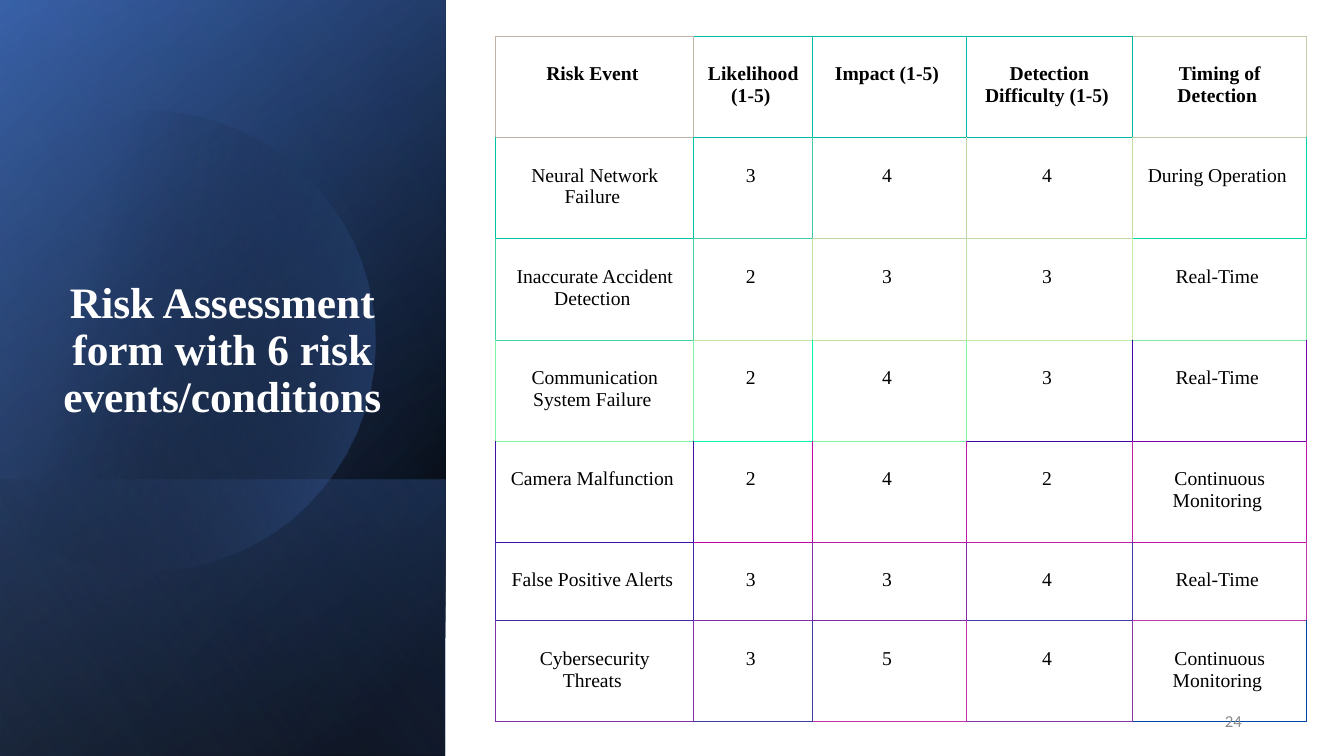
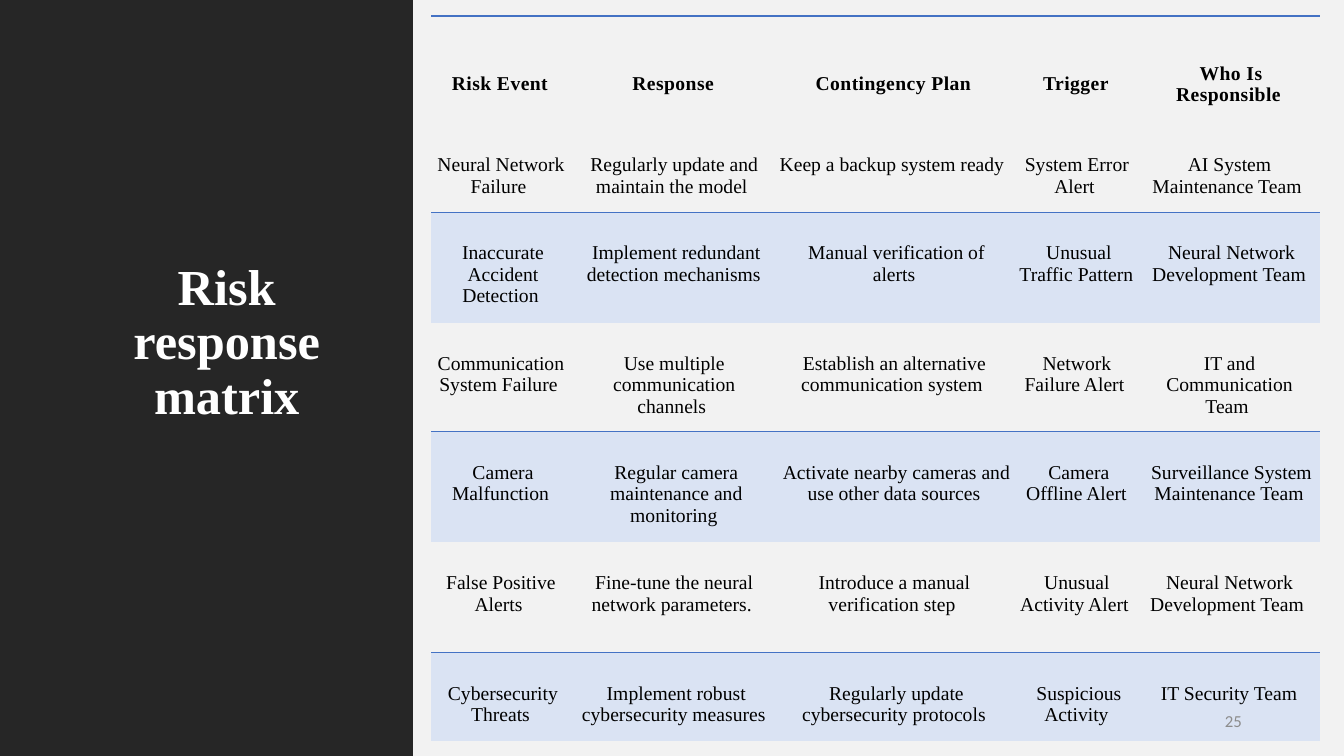
"""Build two risk slides: an assessment table and a response matrix."""
from dataclasses import dataclass
from typing import Callable, NamedTuple, Optional

from lxml import etree
from pptx import Presentation
from pptx.dml.color import RGBColor
from pptx.enum.shapes import MSO_SHAPE
from pptx.enum.text import MSO_ANCHOR, PP_ALIGN
from pptx.oxml.ns import qn
from pptx.util import Pt

RECT = MSO_SHAPE.RECTANGLE
TOP, MID, LOW = MSO_ANCHOR.TOP, MSO_ANCHOR.MIDDLE, MSO_ANCHOR.BOTTOM
MIDDLE, RIGHT = PP_ALIGN.CENTER, PP_ALIGN.RIGHT
SERIF, SANS = "Times New Roman", "Calibri"
WHITE, BLACK, GREY = "FFFFFF", "000000", "8C8C8C"
DARK, PALE = "262626", "F2F2F2"
BLUE, NAVY, SKY, TINT = "4472C4", "2F5597", "8FAADC", "DAE3F3"
HARD = chr(160)


class Box(NamedTuple):
    left: float
    top: float
    width: float
    height: float


class Stop(NamedTuple):
    pos: float
    tone: str
    alpha: int = 100


class Edge(NamedTuple):
    tone: str
    width: float


class Pad(NamedTuple):
    left: float
    top: float
    right: float
    low: float


class Style(NamedTuple):
    size: float
    tone: str
    font: str = SERIF
    bold: bool = False
    track: int = 0


class Look(NamedTuple):
    pad: Pad
    style: Style
    anchor: MSO_ANCHOR
    fill: Optional[str]
    edges: dict[str, Optional[Edge]]


@dataclass
class Panel:
    box: Box
    stops: tuple[Stop, Stop]
    angle: float


@dataclass
class Grid:
    left: float
    top: float
    cols: list[float]
    rows: list[float]
    texts: list[list[str]]
    look: Callable[[int, int], Look]


HEAD = Style(31, WHITE, bold=True)
BODY = Style(14, BLACK)
BOLD = BODY._replace(bold=True)
PAGE = Style(12, GREY, SANS)

FULL = Box(-110.9, 110.9, 540, 318.2)
BASE = [
    Panel(FULL, (Stop(8, BLACK), Stop(100, NAVY)), 50),
    Panel(FULL, (Stop(0, BLACK, 0), Stop(99, BLUE, 46)), 30),
    Panel(Box(60.5, 282.2, 197.3, 318.2),
          (Stop(2, BLUE, 29), Stop(100, BLACK, 30)), 130),
]
GLOW = Panel(FULL, (Stop(0, BLACK, 0), Stop(99, SKY, 11)), 120)
DISC = (Stop(29, BLACK, 0), Stop(100, BLUE, 43))
START = (107.3, 79.2)
CURVES = [
    [(177.1, 80.6), (241.2, 127.4), (261.4, 198)],
    [(286.6, 285.8), (236.2, 376.6), (149, 401.8)],
    [(94.3, 417.6), (38.2, 403.9), (-2.2, 370.1)],
    [(-10.8, 362.2)],
    [(-10.8, 126)],
    [(0, 115.9)],
    [(16.6, 102.2), (36, 92.2), (57.6, 85.7)],
    [(74.2, 81.4), (90.7, 79.2), START],
]

RISKS = [
    ["Risk Event", "Likelihood (1-5)", "Impact (1-5)",
     "Detection Difficulty (1-5)", "Timing of Detection"],
    ["Neural Network Failure", "3", "4", "4", "During Operation"],
    ["Inaccurate Accident Detection", "2", "3", "3", "Real-Time"],
    ["Communication System Failure", "2", "4", "3", "Real-Time"],
    ["Camera Malfunction", "2", "4", "2", "Continuous Monitoring"],
    ["False Positive Alerts", "3", "3", "4", "Real-Time"],
    ["Cybersecurity Threats", "3", "5", "4", "Continuous Monitoring"],
]
TONES = [
    ["C0B3A6", "00BBA6", "00BBA6", "00B7A6", "C0CAA6"],
    ["00C2A6", "40CAA6", "C0D5A6", "C0DFA6", "00D5A6"],
    ["40D3A6", "C0E3A6", "C0E1A6", "C0EDA6", "80E7A6"],
    ["80F5A6", "00FAA6", "80F5A6", "4001A7", "8001A7"],
    ["4010A7", "C004A7", "C018A7", "C01FA7", "C015A7"],
    ["4028A7", "802FA7", "802EA7", "403BA7", "C03CA7"],
    ["8031A5", "403AA5", "C032A5", "8036A5", "0046A5"],
]
PLANS = [
    ["Response", "Contingency Plan", "Trigger", "Who Is Responsible"],
    ["Regularly update and maintain the model", "Keep a backup system ready",
     "System Error Alert", "AI System Maintenance Team"],
    ["Implement redundant detection mechanisms",
     "Manual verification of alerts", "Unusual Traffic Pattern",
     "Neural Network Development Team"],
    ["Use multiple communication channels",
     "Establish an alternative communication system",
     "Network Failure Alert", "IT and Communication Team"],
    ["Regular camera maintenance and monitoring",
     "Activate nearby cameras and use other data sources",
     "Camera Offline Alert", "Surveillance System Maintenance Team"],
    ["Fine-tune the neural network parameters.",
     "Introduce a manual verification step", "Unusual Activity Alert",
     "Neural Network Development Team"],
    ["Implement robust cybersecurity measures",
     "Regularly update cybersecurity protocols", "Suspicious Activity",
     "IT Security Team"],
]


def rgb(tone: str) -> RGBColor:
    return RGBColor.from_string(tone)


def place(box: Box) -> list[Pt]:
    return [Pt(size) for size in box]


def write(frame, text: str, style: Style, align=MIDDLE, lead: float = 1) -> None:
    para = frame.paragraphs[0]
    para.alignment = align
    para.line_spacing = lead
    run = para.add_run()
    run.text = text
    font = run.font
    font.size, font.name, font.bold = Pt(style.size), style.font, style.bold
    font.color.rgb = rgb(style.tone)
    if style.track:
        run.font._element.set("spc", str(style.track))


def label(slide, box: Box, text: str, style: Style, anchor, align=MIDDLE,
          lead: float = 1) -> None:
    frame = slide.shapes.add_textbox(*place(box)).text_frame
    frame.word_wrap = True
    frame.vertical_anchor = anchor
    write(frame, text, style, align, lead)


def title(slide, box: Box, text: str, size: float, anchor) -> None:
    label(slide, box, text, HEAD._replace(size=size), anchor, lead=0.9)


def number(slide, text: str) -> None:
    label(slide, Box(678.2, 500.4, 216, 28.8), text, PAGE, MID, RIGHT)


def plain(shape) -> None:
    shape.shadow.inherit = False
    shape.line.fill.background()


def block(slide, box: Box, tone: str) -> None:
    shape = slide.shapes.add_shape(RECT, *place(box))
    plain(shape)
    shape.fill.solid()
    shape.fill.fore_color.rgb = rgb(tone)


def blend(shape, stops: tuple[Stop, Stop], angle: float) -> None:
    plain(shape)
    fill = shape.fill
    fill.gradient()
    fill.gradient_angle = 360 - angle
    for mark, stop in zip(fill.gradient_stops, stops):
        mark.position = stop.pos / 100
        mark.color.rgb = rgb(stop.tone)
    tints = shape.element.spPr.iter(qn("a:srgbClr"))
    for tint, stop in zip(list(tints), stops):
        if stop.alpha < 100:
            etree.SubElement(tint, qn("a:alpha"), val=str(stop.alpha * 1000))


def panel(slide, item: Panel) -> None:
    shape = slide.shapes.add_shape(RECT, *place(item.box))
    shape.rotation = 90
    shape.element.spPr.find(qn("a:xfrm")).set("flipH", "1")
    blend(shape, item.stops, item.angle)


def bend(ends: list[tuple[float, float]], part: float) -> tuple[float, float]:
    while len(ends) > 1:
        ends = [(a + (c - a) * part, b + (d - b) * part)
                for (a, b), (c, d) in zip(ends, ends[1:])]
    return ends[0]


def disc(slide) -> None:
    last, spots = START, []
    for curve in CURVES:
        count = 16 if len(curve) > 1 else 1
        spots += [bend([last, *curve], step / count)
                  for step in range(1, count + 1)]
        last = curve[-1]
    pen = slide.shapes.build_freeform(Pt(START[0]), Pt(START[1]))
    pen.add_line_segments([(Pt(x), Pt(y)) for x, y in spots], close=True)
    blend(pen.convert_to_shape(), DISC, 14)


def border(cell, edges: dict[str, Optional[Edge]]) -> None:
    props = cell._tc.get_or_add_tcPr()
    for side in "LRTB":
        edge = edges.get(side)
        line = etree.SubElement(props, qn(f"a:ln{side}"))
        if edge:
            line.set("w", str(Pt(edge.width)))
            fill = etree.SubElement(line, qn("a:solidFill"))
            etree.SubElement(fill, qn("a:srgbClr"), val=edge.tone)
        else:
            etree.SubElement(line, qn("a:noFill"))


def dress(cell, text: str, look: Look) -> None:
    pad = look.pad
    cell.margin_left, cell.margin_right = Pt(pad.left), Pt(pad.right)
    cell.margin_top, cell.margin_bottom = Pt(pad.top), Pt(pad.low)
    cell.vertical_anchor = look.anchor
    border(cell, look.edges)
    if look.fill:
        cell.fill.solid()
        cell.fill.fore_color.rgb = rgb(look.fill)
    else:
        cell.fill.background()
    write(cell.text_frame, text + HARD, look.style)


def draw(slide, grid: Grid) -> None:
    box = Box(grid.left, grid.top, sum(grid.cols), sum(grid.rows))
    table = slide.shapes.add_table(
        len(grid.rows), len(grid.cols), *place(box)).table
    table.first_row = table.horz_banding = False
    for col, width in zip(table.columns, grid.cols):
        col.width = Pt(width)
    for y, (row, height) in enumerate(zip(table.rows, grid.rows)):
        row.height = Pt(height)
        for x, cell in enumerate(row.cells):
            dress(cell, grid.texts[y][x], grid.look(y, x))


def score(y: int, x: int) -> Look:
    own = TONES[y][x]
    tones = {"L": TONES[y][max(x - 1, 0)], "R": own,
             "T": TONES[max(y - 1, 0)][x], "B": own}
    edges = {side: Edge(tone, 0.75) for side, tone in tones.items()}
    return Look(Pad(7.9, 19.4, 7.9, 3.6), BODY if y else BOLD, TOP, None, edges)


def rule(y: int) -> Optional[Edge]:
    if y % 2 or y >= len(PLANS):
        return None
    return Edge(BLUE, 0.75 if y else 1.5)


def reply(y: int, x: int) -> Look:
    edges = {"T": rule(y), "B": rule(y + 1)}
    if y == 0:
        style = BOLD._replace(track=30)
        return Look(Pad(0, 21.4, 0.7, 1.4), style, MID, None, edges)
    tinted = y % 2 == 0
    pad = Pad(2.9 if tinted else 0, 21.4, 2.9, 1.4)
    return Look(pad, BODY, TOP, TINT if tinted else None, edges)


def main() -> None:
    deck = Presentation()
    deck.slide_width, deck.slide_height = Pt(960), Pt(540)
    blank = deck.slide_layouts[6]

    slide = deck.slides.add_slide(blank)
    for item in BASE:
        panel(slide, item)
    disc(slide)
    panel(slide, GLOW)
    title(slide, Box(36, 116, 245.5, 188.6),
          "Risk Assessment form with 6 risk events/conditions", 31, LOW)
    draw(slide, Grid(354.2, 26, [141.5, 84.8, 109.8, 118.8, 124.5],
                     [72.3] * 5 + [56, 72.3], RISKS, score))
    number(slide, "24")

    slide = deck.slides.add_slide(blank)
    block(slide, Box(294.5, 0, 665.5, 540), PALE)
    block(slide, Box(0, 0, 295, 540), DARK)
    title(slide, Box(75.6, 183.6, 172.8, 439.2), "Risk response matrix", 36, TOP)
    texts = [[risk[0], *plan] for risk, plan in zip(RISKS, PLANS)]
    draw(slide, Grid(308.2, 11.5, [102.2, 145.4, 169.2, 91.4, 126.7],
                     [77.4, 62.6, 79, 78, 79, 79, 62.6], texts, reply))
    number(slide, "25")

    deck.save("out.pptx")


if __name__ == "__main__":
    main()
